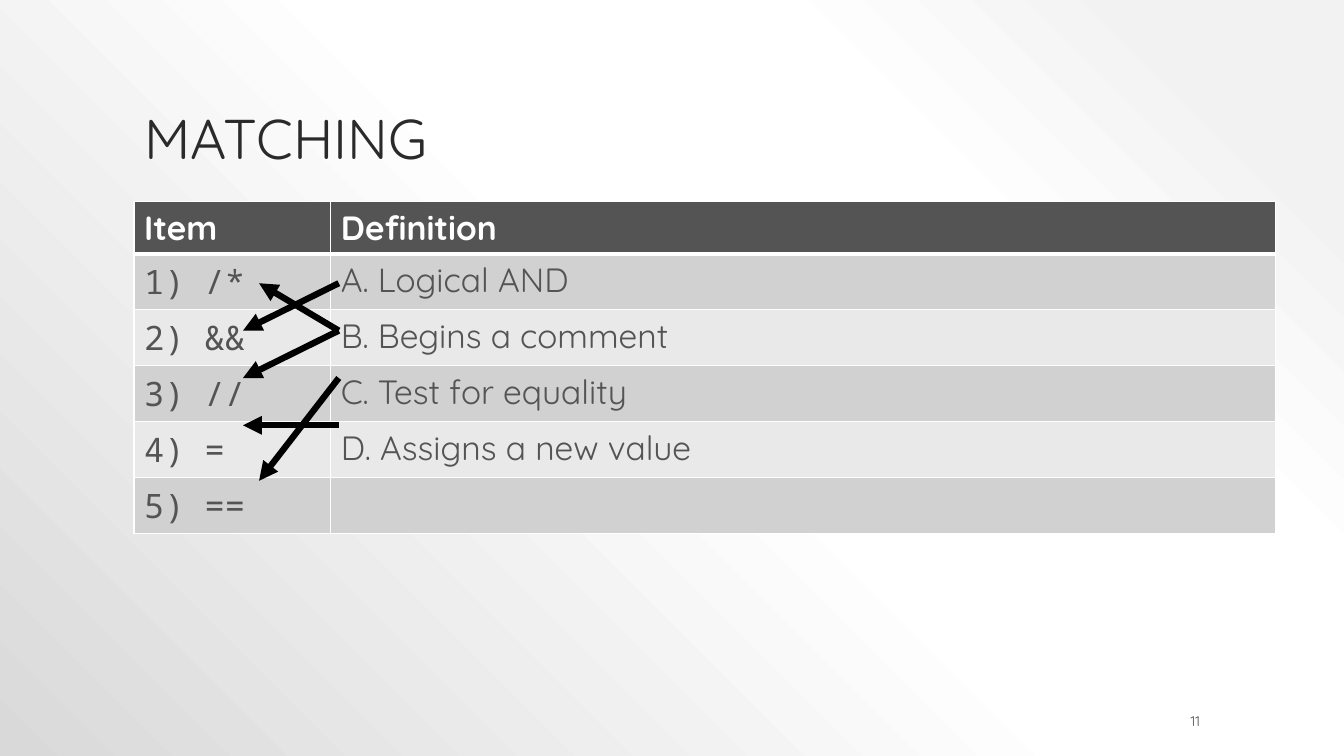
import pptx
import pptx.dml.color
import pptx.enum.shapes
import pptx.enum.text
import pptx.oxml
import pptx.oxml.ns
import pptx.util
from lxml import etree

TITLE = "MATCHING"
PAGE_NUMBER = "11"
ROWS = [
    ("Item", "Definition"),
    ("1) /*", "A. Logical AND"),
    ("2) &&", "B. Begins a comment"),
    ("3) //", "C. Test for equality"),
    ("4) =", "D. Assigns a new value"),
    ("5) ==", ""),
]
ARROWS = [
    (0, "near", 1),
    (3, "near", 3),
    (1, "far", 0),
    (1, "near", 2),
    (2, "far", 4.17),
]

THEME = {
    "sans": "Quicksand",
    "mono": "Noto Sans Mono",
    "title": "2A2A2A",
    "dark": "545454",
    "white": "FFFFFF",
    "bands": ("E9E9E9", "D1D1D1"),
    "arrow": "000000",
    "backdrop": ((10, "F2F2F2"), (28, "FFFFFF"), (48, "FFFFFF"), (100, "D9D9D9")),
    "title_size": 40,
    "table_size": 24,
    "number_size": 10,
    "arrow_width": 4.5,
    "border": 1,
    "header_border": 3,
}

WIDTH, HEIGHT = 13.33, 7.5
LEFT = 1.33
TITLE_BOX = (LEFT, 0.3, WIDTH * 0.8, 1.45)
NUMBER_BOX = (10.75, 7.05, 1.25, 0.2)
TABLE_TOP, ROW_HEIGHT = 2, 0.5
COLUMNS = (1.95, 9.37)
ARROW_START, ARROW_TOP, ARROW_STEP = 3.36, 2.81, 0.47
ARROW_ENDS = {"near": 2.41, "far": 2.57}

inch = pptx.util.Inches
point = pptx.util.Pt
qn = pptx.oxml.ns.qn
anchors = pptx.enum.text.MSO_ANCHOR
aligns = pptx.enum.text.PP_ALIGN


def rgb(value):
    return pptx.dml.color.RGBColor.from_string(value)


def assign(target, values):
    for name, value in values.items():
        setattr(target, name, value)


def write(frame, text, face, size, color, bold=False, align=aligns.LEFT, spacing=1.0):
    para = frame.paragraphs[0]
    assign(para, {"alignment": align, "line_spacing": spacing})
    span = para.add_run()
    span.text = text
    assign(span.font, {"name": face, "size": point(size), "bold": bold})
    span.font.color.rgb = rgb(color)


def paint_backdrop(page):
    page.background.fill.gradient()
    gradient = next(page.element.iter(qn("a:gradFill")))
    for child in list(gradient):
        gradient.remove(child)
    stops = etree.SubElement(gradient, qn("a:gsLst"))
    for position, color in THEME["backdrop"]:
        stop = etree.SubElement(stops, qn("a:gs"), pos=str(position * 1000))
        etree.SubElement(stop, qn("a:srgbClr"), val=color)
    course = etree.SubElement(gradient, qn("a:path"))
    course.set("path", "circle")
    etree.SubElement(course, qn("a:fillToRect"), l="100000", b="100000")


def add_title(page):
    title = page.shapes.title
    box = dict(zip(("left", "top", "width", "height"), map(inch, TITLE_BOX)))
    assign(title, box)
    assign(title.text_frame, {
        "vertical_anchor": anchors.BOTTOM,
        "word_wrap": True,
        "auto_size": pptx.enum.text.MSO_AUTO_SIZE.NONE,
    })
    write(title.text_frame, TITLE, THEME["sans"], THEME["title_size"], THEME["title"], spacing=0.9)


def add_page_number(page):
    frame = page.shapes.add_textbox(*map(inch, NUMBER_BOX)).text_frame
    assign(frame, {
        "vertical_anchor": anchors.MIDDLE,
        "word_wrap": True,
        "margin_top": 0,
        "margin_bottom": 0,
    })
    write(frame, PAGE_NUMBER, THEME["sans"], THEME["number_size"], THEME["dark"], align=aligns.RIGHT)


def add_borders(cell, widths):
    properties = cell._tc.get_or_add_tcPr()
    for index, (side, width) in enumerate(widths.items()):
        line = pptx.oxml.parse_xml(
            f'<a:ln{side} {pptx.oxml.ns.nsdecls("a")} w="{point(width)}"><a:solidFill>'
            f'<a:srgbClr val="{THEME["white"]}"/></a:solidFill></a:ln{side}>'
        )
        properties.insert(index, line)


def add_matching_table(page):
    table = page.shapes.add_table(
        len(ROWS), len(COLUMNS), inch(LEFT), inch(TABLE_TOP),
        inch(sum(COLUMNS)), inch(ROW_HEIGHT * len(ROWS)),
    ).table
    for column, width in zip(table.columns, COLUMNS):
        column.width = inch(width)
    for row, texts in enumerate(ROWS):
        header = row == 0
        for column, text in enumerate(texts):
            cell = table.cell(row, column)
            cell.fill.solid()
            cell.fill.fore_color.rgb = rgb(THEME["dark"] if header else THEME["bands"][row % 2])
            widths = dict.fromkeys("LRTB", THEME["border"])
            if header:
                widths["B"] = THEME["header_border"]
            elif row == 1:
                widths["T"] = THEME["header_border"]
            add_borders(cell, widths)
            if text:
                face = THEME["sans" if header or column else "mono"]
                color = THEME["white" if header else "dark"]
                write(cell.text_frame, text, face, THEME["table_size"], color, header)


def add_arrow(page, start_row, reach, end_row):
    start, end = (ARROW_TOP + row * ARROW_STEP for row in (start_row, end_row))
    arrow = page.shapes.add_connector(
        pptx.enum.shapes.MSO_CONNECTOR.STRAIGHT,
        inch(ARROW_START), inch(start), inch(ARROW_ENDS[reach]), inch(end),
    )
    arrow.line.width = point(THEME["arrow_width"])
    arrow.line.color.rgb = rgb(THEME["arrow"])
    etree.SubElement(arrow.line._get_or_add_ln(), qn("a:tailEnd"), type="triangle")
    etree.SubElement(arrow._element.spPr, qn("a:effectLst"))


def main():
    deck = pptx.Presentation()
    assign(deck, {"slide_width": inch(WIDTH), "slide_height": inch(HEIGHT)})
    page = deck.slides.add_slide(deck.slide_layouts[5])
    paint_backdrop(page)
    add_title(page)
    add_matching_table(page)
    add_page_number(page)
    for arrow in ARROWS:
        add_arrow(page, *arrow)
    deck.save("out.pptx")


if __name__ == "__main__":
    main()
